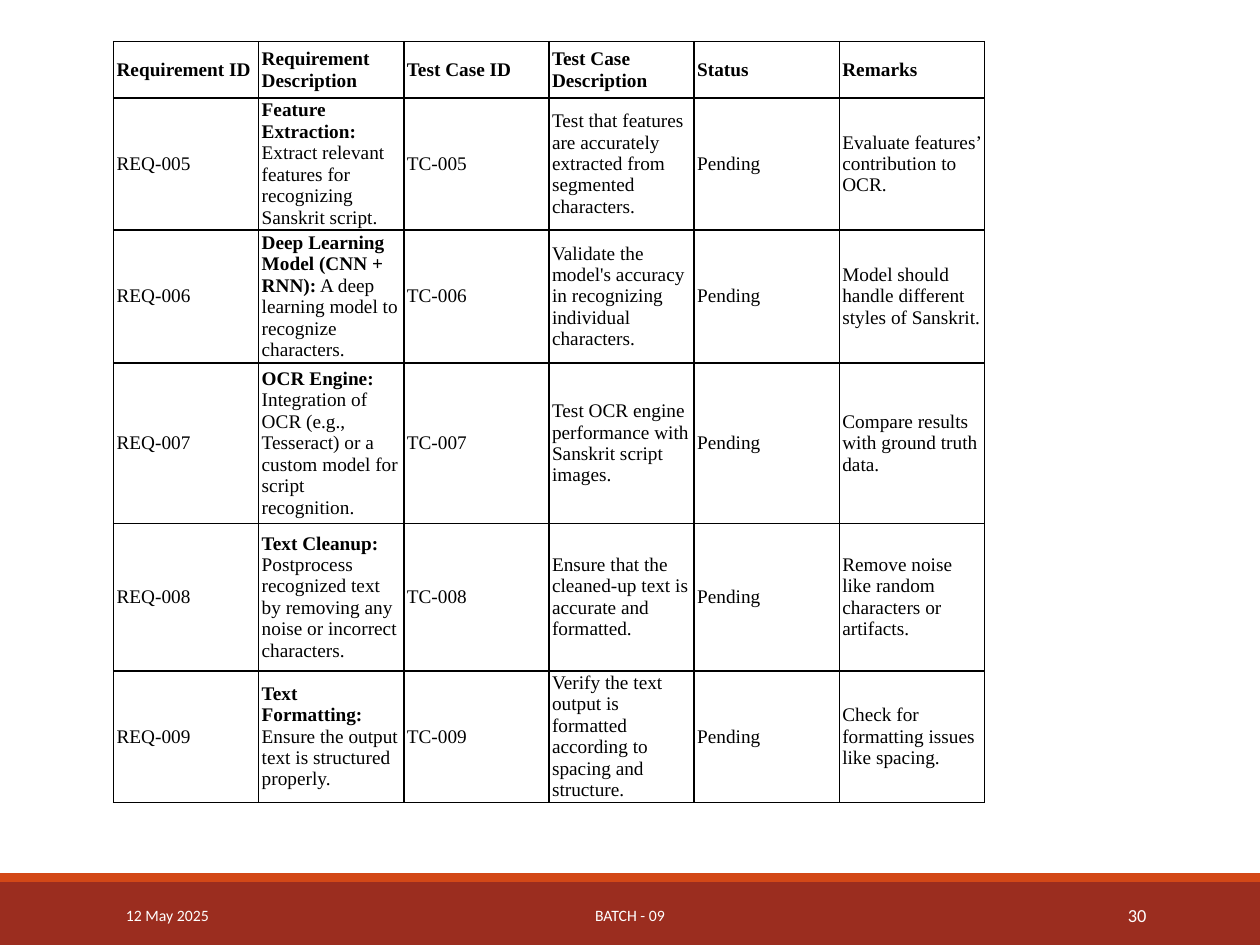
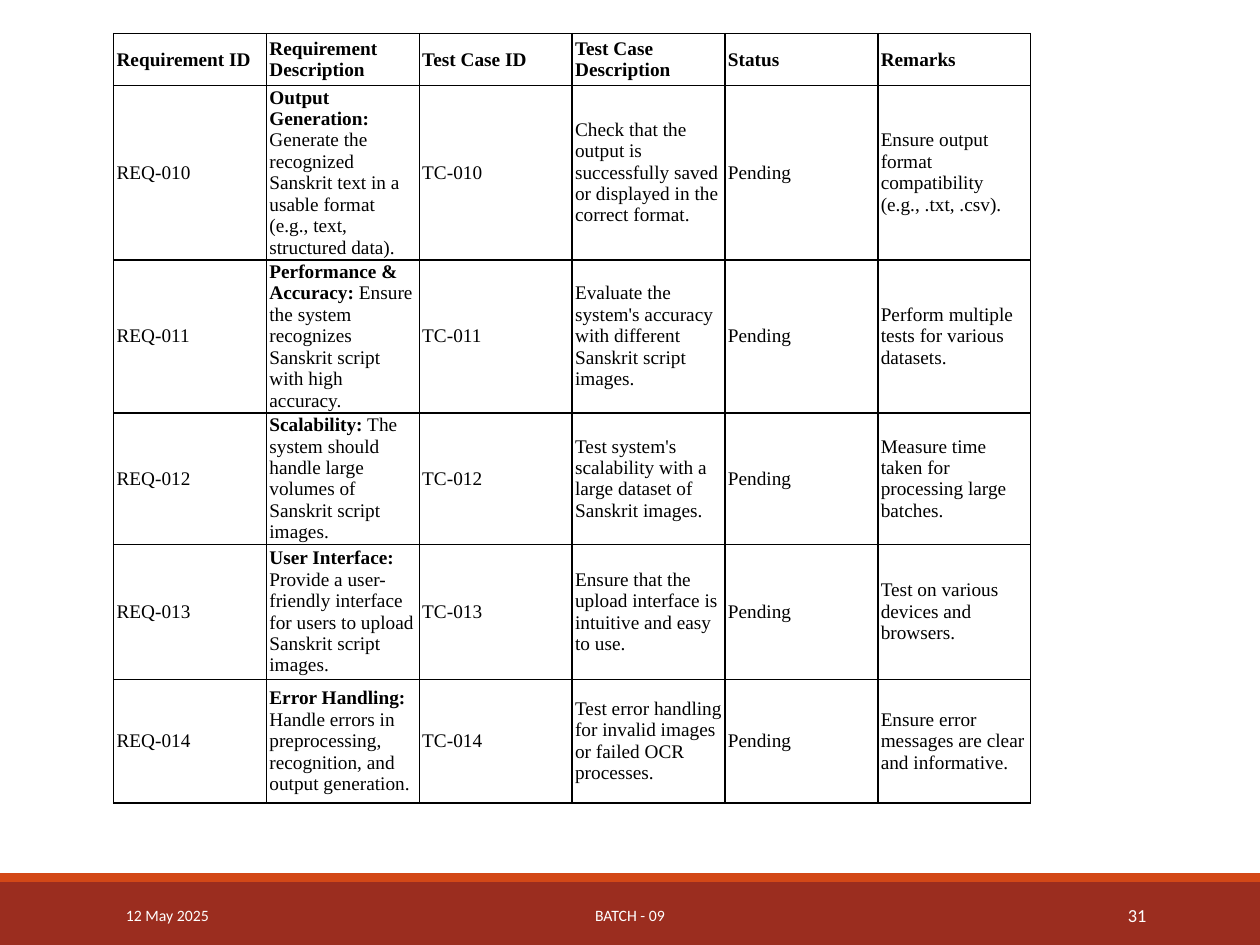
"""Build two requirement traceability slides with a shared footer band."""
from lxml.etree import SubElement
from pptx import Presentation
from pptx.dml.color import RGBColor
from pptx.enum.shapes import MSO_SHAPE
from pptx.enum.text import MSO_ANCHOR, PP_ALIGN
from pptx.oxml.ns import qn
from pptx.util import Cm, Pt

HEADERS = ["Requirement ID", "Requirement Description", "Test Case ID",
           "Test Case Description", "Status", "Remarks"]
STATUS = "Pending"

SLIDES = [
    {
        "number": 30, "first_id": 5, "top": 0.84, "width": 17.56,
        "row_heights": [1.14, 2.44, 2.69, 3.23, 2.97, 2.18],
        "requirements": [
            ("Feature Extraction:", "Extract relevant features for recognizing Sanskrit script.",
             "Test that features are accurately extracted from segmented characters.",
             "Evaluate features’ contribution to OCR."),
            ("Deep Learning Model (CNN + RNN):", "A deep learning model to recognize characters.",
             "Validate the model's accuracy in recognizing individual characters.",
             "Model should handle different styles of Sanskrit."),
            ("OCR Engine:",
             "Integration of OCR (e.g., Tesseract) or a custom model for script recognition.",
             "Test OCR engine performance with Sanskrit script images.",
             "Compare results with ground truth data."),
            ("Text Cleanup:",
             "Postprocess recognized text by removing any noise or incorrect characters.",
             "Ensure that the cleaned-up text is accurate and formatted.",
             "Remove noise like random characters or artifacts."),
            ("Text Formatting:", "Ensure the output text is structured properly.",
             "Verify the text output is formatted according to spacing and structure.",
             "Check for formatting issues like spacing."),
        ],
    },
    {
        "number": 31, "first_id": 10, "top": 0.68, "width": 18.49,
        "row_heights": [1.04, 2.97, 2.49, 2.26, 2.72, 2.49],
        "requirements": [
            ("Output Generation:",
             "Generate the recognized Sanskrit text in a usable format (e.g., text, structured data).",
             "Check that the output is successfully saved or displayed in the correct format.",
             "Ensure output format compatibility (e.g., .txt, .csv)."),
            ("Performance & Accuracy:",
             "Ensure the system recognizes Sanskrit script with high accuracy.",
             "Evaluate the system's accuracy with different Sanskrit script images.",
             "Perform multiple tests for various datasets."),
            ("Scalability:", "The system should handle large volumes of Sanskrit script images.",
             "Test system's scalability with a large dataset of Sanskrit images.",
             "Measure time taken for processing large batches."),
            ("User Interface:",
             "Provide a user-friendly interface for users to upload Sanskrit script images.",
             "Ensure that the upload interface is intuitive and easy to use.",
             "Test on various devices and browsers."),
            ("Error Handling:",
             "Handle errors in preprocessing, recognition, and output generation.",
             "Test error handling for invalid images or failed OCR processes.",
             "Ensure error messages are clear and informative."),
        ],
    },
]

BLACK = RGBColor(0x00, 0x00, 0x00)
WHITE = RGBColor(0xFF, 0xFF, 0xFF)
BRICK = RGBColor(0x9B, 0x2D, 0x1F)
ORANGE = RGBColor(0xD3, 0x48, 0x17)

PAGE_WIDTH, PAGE_HEIGHT = 25.4, 19.05
TABLE_LEFT = 2.29
BANDS = [(17.78, 1.27, BRICK), (17.6, 0.18, ORANGE)]
FOOTER_TOP, FOOTER_HEIGHT = 17.94, 1.02


def style_font(font, name, size, color):
    font.name, font.size = name, Pt(size)
    font.color.rgb = color


def add_footer(page, number):
    for top, height, color in BANDS:
        band = page.shapes.add_shape(MSO_SHAPE.RECTANGLE, 0, Cm(top), Cm(PAGE_WIDTH), Cm(height))
        band.shadow.inherit = False
        band.fill.solid()
        band.fill.fore_color.rgb = color
        band.line.fill.background()
    footers = [
        ("12 May 2025", 2.29, 5.16, 9, PP_ALIGN.LEFT),
        ("BATCH - 09", 7.67, 10.06, 9, PP_ALIGN.CENTER),
        (str(number), 20.62, 2.74, 10.5, PP_ALIGN.RIGHT),
    ]
    for text, left, width, size, alignment in footers:
        box = page.shapes.add_textbox(Cm(left), Cm(FOOTER_TOP), Cm(width), Cm(FOOTER_HEIGHT))
        frame = box.text_frame
        frame.word_wrap = True
        frame.vertical_anchor = MSO_ANCHOR.MIDDLE
        paragraph = frame.paragraphs[0]
        paragraph.text = text
        paragraph.alignment = alignment
        style_font(paragraph.font, "Calibri", size, WHITE)


def add_borders(cell):
    properties = cell._tc.get_or_add_tcPr()
    for side in ("a:lnL", "a:lnR", "a:lnT", "a:lnB"):
        line = SubElement(properties, qn(side), w=str(Pt(1)))
        fill = SubElement(line, qn("a:solidFill"))
        SubElement(fill, qn("a:srgbClr"), val=str(BLACK))


def fill_cell(cell, spans):
    cell.margin_left = cell.margin_right = Cm(0.06)
    cell.margin_top = cell.margin_bottom = Cm(0.03)
    cell.vertical_anchor = MSO_ANCHOR.MIDDLE
    add_borders(cell)
    cell.fill.background()
    paragraph = cell.text_frame.paragraphs[0]
    paragraph.line_spacing = Pt(12.25)
    style_font(paragraph.font, "Times New Roman", 11, BLACK)
    for text, bold in spans:
        span = paragraph.add_run()
        span.text = text
        span.font.bold = bold


def table_rows(content):
    yield [[(header, True)] for header in HEADERS]
    for identifier, requirement in enumerate(content["requirements"], content["first_id"]):
        name, description, test, remark = requirement
        yield [
            [(f"REQ-{identifier:03}", False)],
            [(name, True), (f" {description}", False)],
            [(f"TC-{identifier:03}", False)],
            [(test, False)],
            [(STATUS, False)],
            [(remark, False)],
        ]


def add_requirement_table(page, content):
    heights = content["row_heights"]
    table = page.shapes.add_table(
        len(heights), len(HEADERS), Cm(TABLE_LEFT), Cm(content["top"]),
        Cm(content["width"]), Cm(sum(heights))).table
    table.first_row = table.horz_banding = False
    for column in table.columns:
        column.width = Cm(content["width"] / len(HEADERS))
    for row, height, cells in zip(table.rows, heights, table_rows(content)):
        row.height = Cm(height)
        for cell, spans in zip(row.cells, cells):
            fill_cell(cell, spans)


def main():
    deck = Presentation()
    deck.slide_width, deck.slide_height = Cm(PAGE_WIDTH), Cm(PAGE_HEIGHT)
    for content in SLIDES:
        page = deck.slides.add_slide(deck.slide_layouts[6])
        add_footer(page, content["number"])
        add_requirement_table(page, content)
    deck.save("out.pptx")


if __name__ == "__main__":
    main()
